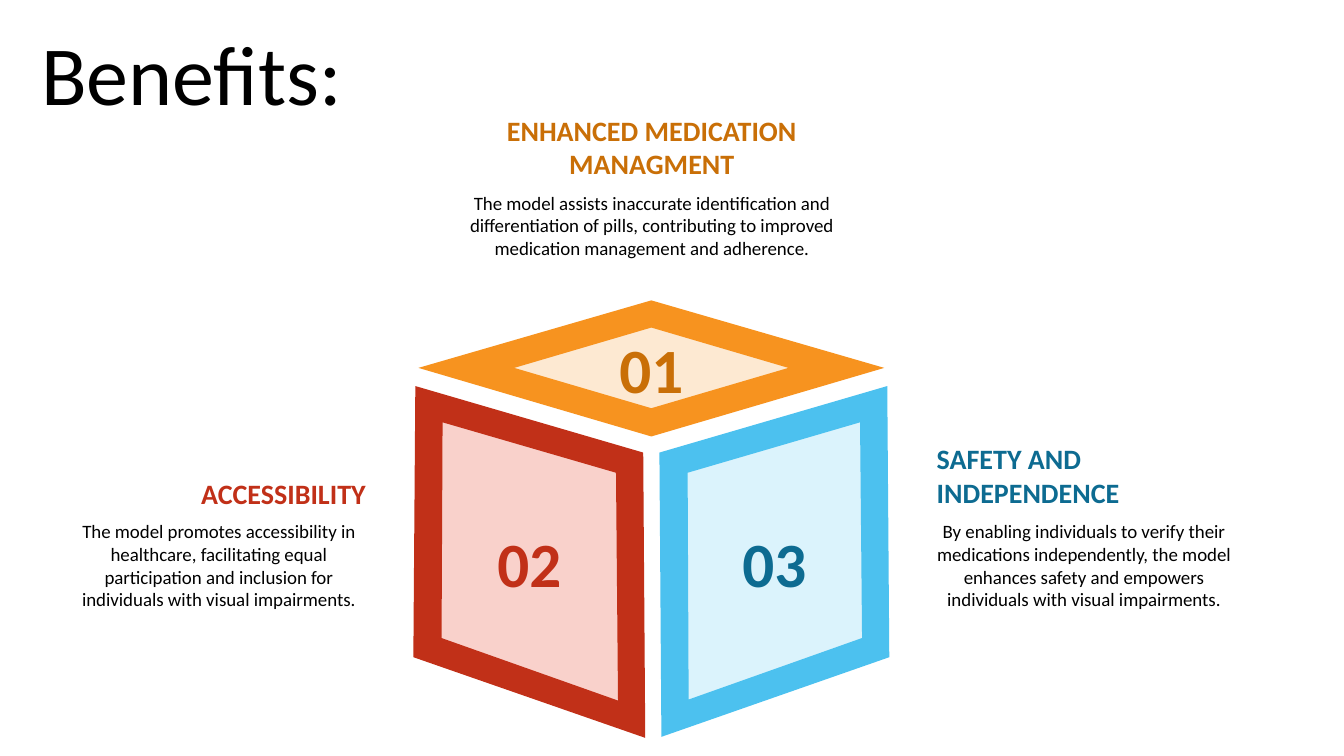
import dataclasses

import pptx
import pptx.dml.color
import pptx.enum.text
import pptx.shapes.autoshape
import pptx.slide
import pptx.util

PX = 9144  # 100 px to the inch
FONT = "Calibri"
COLORS = {
    "black": "000000",
    "orange": "F7931F", "orange_dark": "C96F07", "orange_pale": "FDE9D2",
    "red": "C13018", "red_pale": "F9D1CB",
    "blue": "4CC1EF", "blue_dark": "0D6B91", "blue_pale": "DBF3FC",
}
ALIGN = pptx.enum.text.PP_ALIGN
ANCHOR = pptx.enum.text.MSO_ANCHOR
Point = tuple[int, int]
Box = tuple[int, int, int, int]


@dataclasses.dataclass
class Benefit:
    number: str
    heading: str
    body: str
    heading_align: ALIGN
    heading_box: Box
    body_box: Box
    number_box: Box
    text_color: str
    frame_color: str
    panel_color: str
    panel: list[Point]
    frame_inner: list[Point]
    frame_outer: list[Point]


BENEFITS = [
    Benefit(
        "01", "ENHANCED MEDICATION MANAGMENT",
        "The model assists inaccurate identification and differentiation of pills, "
        "contributing to improved medication management and adherence.",
        ALIGN.CENTER, (445, 107, 403, 77), (445, 185, 403, 95), (595, 314, 102, 103),
        "orange_dark", "orange", "orange_pale",
        panel=[(489, 367), (649, 312), (817, 367), (642, 420)],
        frame_inner=[(646, 325), (782, 365), (646, 405), (510, 365)],
        frame_outer=[(646, 298), (415, 365), (646, 433), (877, 365)],
    ),
    Benefit(
        "02", "ACCESSIBILITY",
        "The model promotes accessibility in healthcare, facilitating equal "
        "participation and inclusion for individuals with visual impairments.",
        ALIGN.RIGHT, (71, 467, 292, 44), (71, 511, 292, 118), (474, 506, 102, 103),
        "red", "red", "red_pale",
        panel=[(424, 645), (424, 401), (625, 461), (625, 715)],
        frame_inner=[(439, 419), (611, 469), (613, 695), (438, 633)],
        frame_outer=[(412, 383), (410, 652), (640, 732), (638, 449)],
    ),
    Benefit(
        "03", "SAFETY AND INDEPENDENCE",
        "By enabling individuals to verify their medications independently, the model "
        "enhances safety and empowers individuals with visual impairments.",
        ALIGN.LEFT, (929, 433, 292, 77), (929, 511, 292, 118), (717, 506, 102, 103),
        "blue_dark", "blue", "blue_pale",
        panel=[(869, 645), (869, 401), (668, 461), (668, 715)],
        frame_inner=[(853, 419), (855, 633), (683, 694), (682, 469)],
        frame_outer=[(880, 383), (654, 449), (656, 731), (882, 652)],
    ),
]


def rgb(color: str) -> pptx.dml.color.RGBColor:
    return pptx.dml.color.RGBColor.from_string(COLORS[color])


def write_text(shape: pptx.shapes.autoshape.Shape, text: str, size: float, color: str,
               align: ALIGN, anchor: ANCHOR, bold: bool = False) -> None:
    frame = shape.text_frame
    frame.text = text
    frame.word_wrap = True
    frame.auto_size = pptx.enum.text.MSO_AUTO_SIZE.NONE
    frame.vertical_anchor = anchor
    paragraph = frame.paragraphs[0]
    paragraph.alignment = align
    font = paragraph.runs[0].font
    font.name, font.size, font.bold = FONT, pptx.util.Pt(size), bold
    font.color.rgb = rgb(color)


def add_text_box(slide: pptx.slide.Slide, box: Box, side_inset: int = 0) -> pptx.shapes.autoshape.Shape:
    shape = slide.shapes.add_textbox(*(length * PX for length in box))
    shape.text_frame.margin_left = shape.text_frame.margin_right = side_inset * PX
    return shape


def add_polygon(slide: pptx.slide.Slide, color: str, *outlines: list[Point]) -> None:
    """Draw one filled shape; a further outline around the first leaves a hole."""
    builder = slide.shapes.build_freeform(*outlines[0][0], scale=PX)
    for index, outline in enumerate(outlines):
        if index:
            builder.move_to(*outline[0])
        builder.add_line_segments(outline[1:], close=True)
    shape = builder.convert_to_shape()
    shape.shadow.inherit = False
    shape.fill.solid()
    shape.fill.fore_color.rgb = rgb(color)
    shape.line.fill.background()


def add_title(slide: pptx.slide.Slide, text: str) -> None:
    title = slide.shapes.title
    title.left, title.top, title.width, title.height = (
        length * PX for length in (31, 16, 1247, 111))
    write_text(title, text, 60, "black", ALIGN.LEFT, ANCHOR.TOP)


def add_caption(slide: pptx.slide.Slide, benefit: Benefit) -> None:
    write_text(add_text_box(slide, benefit.heading_box), benefit.heading, 20,
               benefit.text_color, benefit.heading_align, ANCHOR.BOTTOM, bold=True)
    write_text(add_text_box(slide, benefit.body_box), benefit.body, 13.5,
               "black", ALIGN.CENTER, ANCHOR.TOP)


def add_cube_face(slide: pptx.slide.Slide, benefit: Benefit) -> None:
    add_polygon(slide, benefit.panel_color, benefit.panel)
    add_polygon(slide, benefit.frame_color, benefit.frame_inner, benefit.frame_outer)
    number = add_text_box(slide, benefit.number_box, side_inset=10)
    write_text(number, benefit.number, 45, benefit.text_color,
               ALIGN.CENTER, ANCHOR.MIDDLE, bold=True)
    number.text_frame.word_wrap = False


def main() -> None:
    presentation = pptx.Presentation()
    presentation.slide_width, presentation.slide_height = 1333 * PX, 750 * PX
    slide = presentation.slides.add_slide(presentation.slide_layouts.get_by_name("Title Only"))
    add_title(slide, "Benefits:")
    for benefit in BENEFITS:
        add_caption(slide, benefit)
        add_cube_face(slide, benefit)
    presentation.save("out.pptx")


if __name__ == "__main__":
    main()
